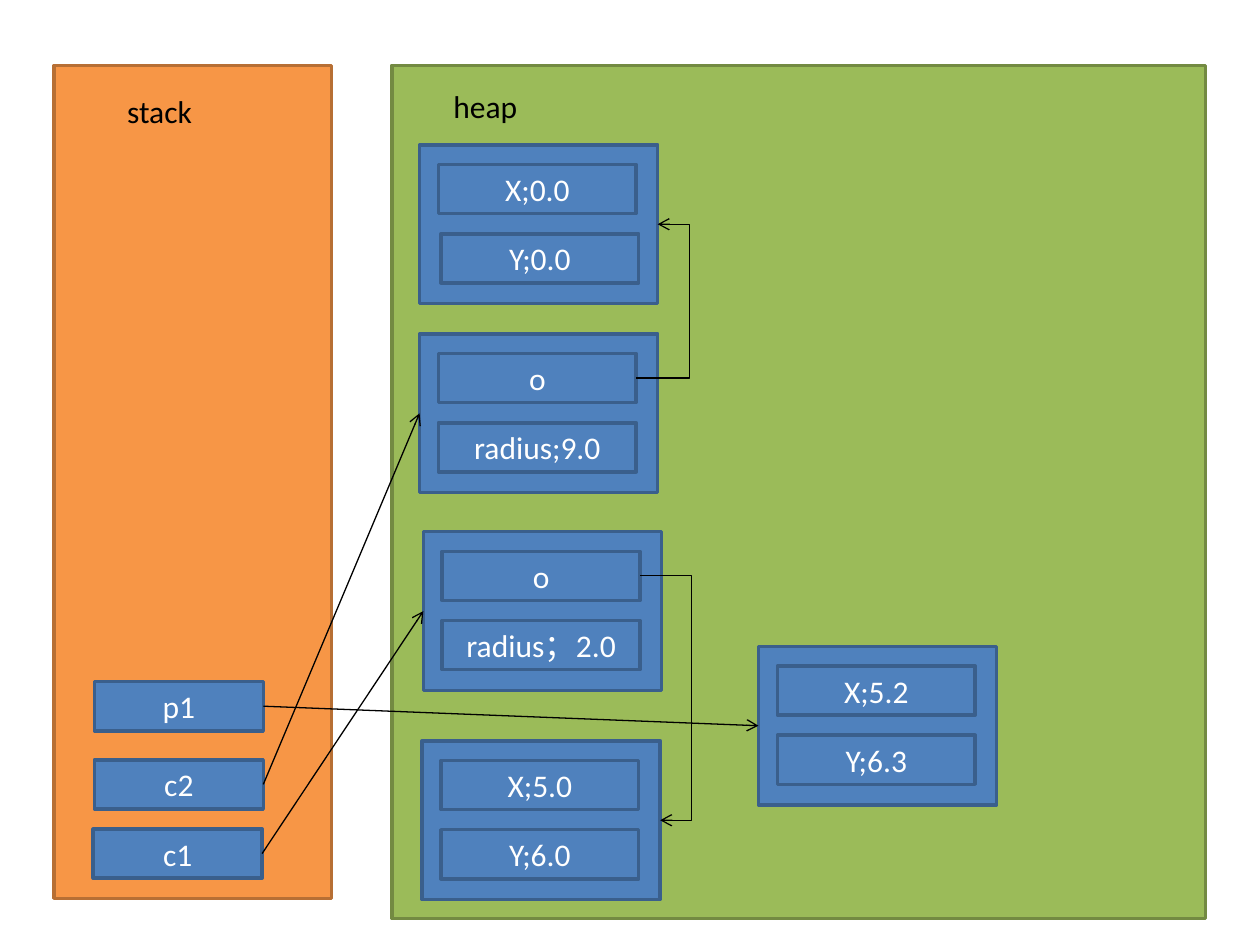
import pptx
import pptx.dml.color
import pptx.enum.shapes
import pptx.enum.text
import pptx.oxml
import pptx.oxml.ns
import pptx.util
import lxml.etree

Inches = pptx.util.Inches
Connector = pptx.enum.shapes.MSO_CONNECTOR
LEFT_SITE, RIGHT_SITE = 1, 3
SLOT_HEIGHT = 0.39


def color(value):
    return pptx.dml.color.RGBColor.from_string(value)


def style_text(shape, text, ink):
    shape.text_frame.text = text
    font = shape.text_frame.paragraphs[0].runs[0].font
    font.name = "Calibri"
    font.size = pptx.util.Pt(18)
    font.color.rgb = color(ink)


def add_box(shapes, left, top, width, height, text="", fill="4F81BD", line="3A5F8C"):
    box = shapes.add_shape(pptx.enum.shapes.MSO_SHAPE.RECTANGLE,
                           Inches(left), Inches(top), Inches(width), Inches(height))
    box.shadow.inherit = False
    box.fill.solid()
    box.fill.fore_color.rgb = color(fill)
    box.line.color.rgb = color(line)
    box.line.width = pptx.util.Pt(2)
    if text:
        style_text(box, text, "FFFFFF")
        box.text_frame.vertical_anchor = pptx.enum.text.MSO_ANCHOR.MIDDLE
        box.text_frame.paragraphs[0].alignment = pptx.enum.text.PP_ALIGN.CENTER
    return box


def add_region(page, left, width, height, fill, line, label, label_left, label_top):
    top = 0.52
    add_box(page.shapes, left, top, width, height, fill=fill, line=line)
    title = page.shapes.add_textbox(Inches(left + label_left), Inches(top + label_top),
                                    Inches(1.18), Inches(0.4))
    title.text_frame.word_wrap = True
    style_text(title, label, "000000")


def add_object(page, left, top, fields, second_shift=0):
    group = page.shapes.add_group_shape()
    frame = add_box(group.shapes, left, top, 1.89, 1.26)
    slots = [add_box(group.shapes, left + 0.15 + index * second_shift,
                     top + 0.155 + index * 0.55, 1.57, SLOT_HEIGHT, text)
             for index, text in enumerate(fields)]
    return frame, slots[0]


def style_arrow(arrow):
    arrow.line.color.rgb = color("000000")
    arrow.line.width = pptx.util.Pt(0.75)
    qualified = pptx.oxml.ns.qn
    outline = arrow.line._get_or_add_ln()
    lxml.etree.SubElement(outline, qualified("a:tailEnd"), type="arrow")
    lxml.etree.SubElement(arrow._element.spPr, qualified("a:effectLst"))


def add_pointer(page, variable, target):
    arrow = page.shapes.add_connector(Connector.STRAIGHT, 0, 0, 0, 0)
    arrow.begin_connect(variable, RIGHT_SITE)
    arrow.end_connect(target, LEFT_SITE)
    style_arrow(arrow)


def add_reference(page, field, target):
    start, end = field.left + field.width, target.left + target.width
    arrow = page.shapes.add_connector(
        Connector.ELBOW, start, field.top + field.height // 2,
        end, target.top + target.height // 2)
    bend = end + Inches(0.25)
    ratio = round((bend - start) / (end - start) * 100000)
    values = arrow._element.spPr.find(".//" + pptx.oxml.ns.qn("a:avLst"))
    if values is None:
        geometry = arrow._element.spPr.find(pptx.oxml.ns.qn("a:prstGeom"))
        values = lxml.etree.SubElement(geometry, pptx.oxml.ns.qn("a:avLst"))
    lxml.etree.SubElement(values, pptx.oxml.ns.qn("a:gd"), name="adj1", fmla=f"val {ratio}")
    style_arrow(arrow)


def build_memory_page(page):
    add_region(page, 3.11, 6.46, 6.77, "9BBB59", "738A42", "heap", 0.39, 0.12)
    add_region(page, 0.43, 2.2, 6.61, "F79646", "B76F34", "stack", 0.48, 0.16)

    c1, c2, p1 = [add_box(page.shapes, left, top, 1.34, SLOT_HEIGHT, name)
                  for name, left, top in (("c1", 0.74, 6.58), ("c2", 0.75, 6.03),
                                          ("p1", 0.75, 5.41))]

    center1, _ = add_object(page, 3.35, 5.88, ("X;5.0", "Y;6.0"))
    circle1, origin1 = add_object(page, 3.36, 4.22, ("o", "radius；2.0"))
    circle2, origin2 = add_object(page, 3.33, 2.65, ("o", "radius;9.0"))
    center2, _ = add_object(page, 3.33, 1.15, ("X;0.0", "Y;0.0"), second_shift=0.02)
    point, _ = add_object(page, 6.02, 5.13, ("X;5.2", "Y;6.3"))

    for variable, target in ((c1, circle1), (c2, circle2), (p1, point)):
        add_pointer(page, variable, target)
    for field, target in ((origin1, center1), (origin2, center2)):
        add_reference(page, field, target)


deck = pptx.Presentation()
deck.slide_width = Inches(10)
deck.slide_height = Inches(7.5)
build_memory_page(deck.slides.add_slide(deck.slide_layouts[6]))
deck.save("out.pptx")
